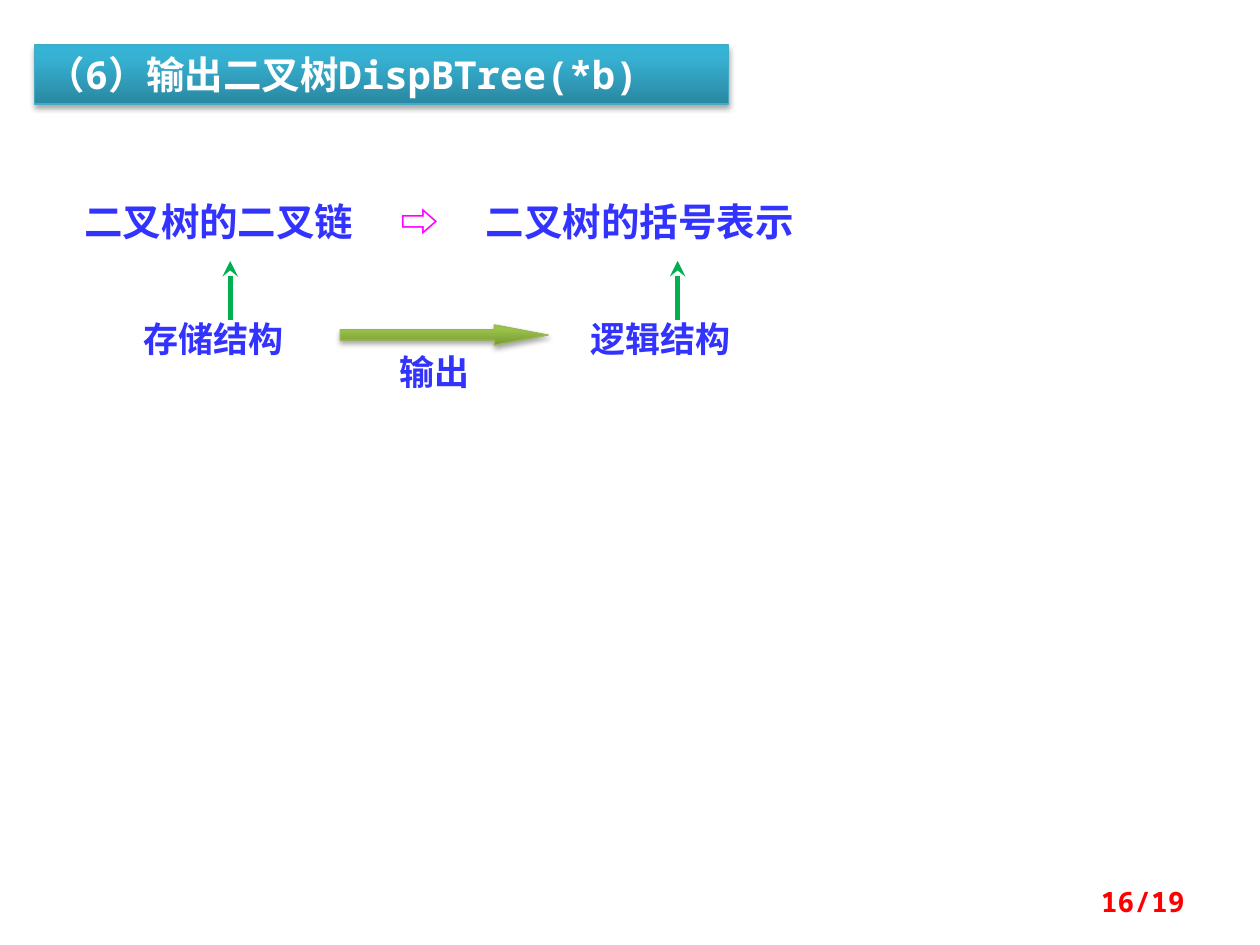
from lxml import etree
from pptx import Presentation
from pptx.dml.color import RGBColor
from pptx.enum.shapes import MSO_CONNECTOR, MSO_SHAPE
from pptx.enum.text import MSO_ANCHOR, PP_ALIGN
from pptx.oxml.ns import qn
from pptx.util import Cm, Pt

SANS, MONO, SERIF = "Noto Sans CJK SC", "Noto Sans Mono", "Times New Roman"
BLUE, MAGENTA, GREEN, RED, WHITE = "3333FF", "FF00FF", "00B050", "FF0000", "FFFFFF"

# Content: runs are (text, colour); boxes are left, top, width, height in cm
HEADING = [("（6）输出二叉树DispBTree(*b)", WHITE)]
HEADING_BOX = (0.69, 0.91, 14, 1.19)
HEADING_STOPS = [(0, "2A88A2"), (80, "37B1D2"), (100, "34B4D6")]
MAPPING = [("二叉树的二叉链　 ", BLUE), ("⇨ ", MAGENTA), ("　二叉树的括号表示", BLUE)]
MAPPING_BOX = (1.45, 3.86, 17.4, 1.19)
STRUCTURES = [("存储结构", 2.64), ("逻辑结构", 11.66)]  # label, left
STRUCTURE_TOP, STRUCTURE_WIDTH, LABEL_HEIGHT = 6.27, 4.6, 1.11
POINTER_OFFSET, POINTER_BOTTOM, POINTER_TOP = 2, 6.45, 5.26
OUTPUT = [("输出", BLUE)]
OUTPUT_BOX = (6.86, 6.94, 3.8, LABEL_HEIGHT)
OUTPUT_ARROW_BOX = (6.86, 6.55, 4.19, 0.41)
OUTPUT_STOPS = [(0, "779737"), (80, "9BC348"), (100, "9DC746")]
PAGE = [("16/19", RED)]
PAGE_BOX = (18.2, 17.65, 5.93, 1.02)


def color(value):
    return RGBColor.from_string(value)


def add_element(parent, tag, **attributes):
    element = etree.SubElement(parent, qn(tag))
    for key, value in attributes.items():
        element.set(key, str(value))
    return element


def write(frame, runs, size, font, align=PP_ALIGN.LEFT, anchor=MSO_ANCHOR.TOP):
    frame.word_wrap = True
    frame.vertical_anchor = anchor
    paragraph = frame.paragraphs[0]
    paragraph.alignment = align
    for text, value in runs:
        run = paragraph.add_run()
        run.text = text
        run.font.size = Pt(size)
        run.font.bold = True
        run.font.name = font
        run.font.color.rgb = color(value)
        add_element(run.font._element, "a:ea", typeface=SANS)


def add_text(slide, box, *args, **options):
    write(slide.shapes.add_textbox(*map(Cm, box)).text_frame, *args, **options)


def add_glossy(slide, preset, box, stops, outline):
    shape = slide.shapes.add_shape(preset, *map(Cm, box))
    shape.fill.gradient()
    shape.fill.gradient_angle = 90
    stop_list = shape._element.spPr.find(".//" + qn("a:gsLst"))
    stop_list.clear()
    for position, value in stops:
        stop = add_element(stop_list, "a:gs", pos=position * 1000)
        add_element(stop, "a:srgbClr", val=value)
    shape.line.color.rgb = color(outline)
    shape.line.width = Pt(0.75)
    # Soft shadow straight below
    shape.shadow.inherit = False
    effects = shape._element.spPr.find(qn("a:effectLst"))
    shadow = add_element(effects, "a:outerShdw", blurRad=Pt(3.1), dist=Pt(1.8),
                         dir=5400000, rotWithShape=0)
    add_element(add_element(shadow, "a:srgbClr", val="000000"), "a:alpha", val=35000)
    return shape


def add_pointer(slide, x):
    pointer = slide.shapes.add_connector(
        MSO_CONNECTOR.STRAIGHT, Cm(x), Cm(POINTER_BOTTOM), Cm(x), Cm(POINTER_TOP))
    pointer.line.color.rgb = color(GREEN)
    pointer.line.width = Pt(3)
    add_element(pointer.line._get_or_add_ln(), "a:tailEnd", type="stealth")
    add_element(pointer._element.spPr, "a:effectLst")


def main():
    deck = Presentation()
    deck.slide_width, deck.slide_height = Cm(25.4), Cm(19.05)
    slide = deck.slides.add_slide(deck.slide_layouts[6])

    # Heading bar and mapping line
    heading = add_glossy(slide, MSO_SHAPE.RECTANGLE, HEADING_BOX, HEADING_STOPS, "46AAC5")
    write(heading.text_frame, HEADING, 22, MONO)
    add_text(slide, MAPPING_BOX, MAPPING, 22, SERIF)

    # Structures, each pointing up at its representation
    for label, left in STRUCTURES:
        add_pointer(slide, left + POINTER_OFFSET)
        box = (left, STRUCTURE_TOP, STRUCTURE_WIDTH, LABEL_HEIGHT)
        add_text(slide, box, [(label, BLUE)], 20, SANS)

    # Output arrow between the structures
    output_arrow = add_glossy(slide, MSO_SHAPE.RIGHT_ARROW, OUTPUT_ARROW_BOX,
                              OUTPUT_STOPS, "98B955")
    output_arrow.adjustments[0] = 0.5
    output_arrow.adjustments[1] = 2.65
    add_text(slide, OUTPUT_BOX, OUTPUT, 20, SERIF, align=PP_ALIGN.CENTER)

    # Page number
    add_text(slide, PAGE_BOX, PAGE, 16, MONO, align=PP_ALIGN.RIGHT, anchor=MSO_ANCHOR.MIDDLE)

    deck.save("out.pptx")


if __name__ == "__main__":
    main()
